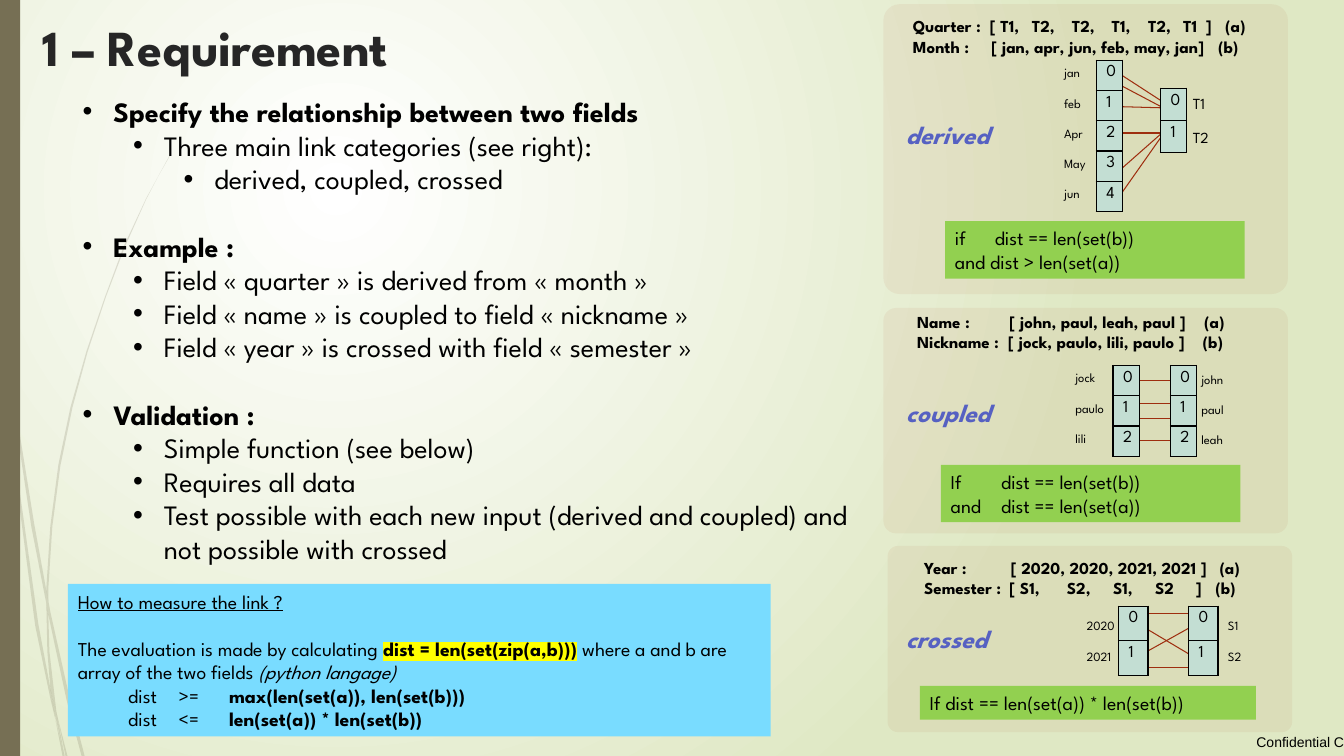
from dataclasses import dataclass
from lxml import etree
from pptx import Presentation
from pptx.dml.color import RGBColor
from pptx.enum.shapes import MSO_CONNECTOR, MSO_SHAPE
from pptx.enum.text import MSO_ANCHOR, PP_ALIGN
from pptx.oxml.ns import qn
from pptx.util import Pt

LEFT, RIGHT = PP_ALIGN.LEFT, PP_ALIGN.RIGHT
TOP, MIDDLE = MSO_ANCHOR.TOP, MSO_ANCHOR.MIDDLE
RECT, ROUNDED, STRAIGHT = MSO_SHAPE.RECTANGLE, MSO_SHAPE.ROUNDED_RECTANGLE, MSO_CONNECTOR.STRAIGHT
TITLE_ONLY = 5


@dataclass(frozen=True)
class Theme:
    font: str = "League Spartan"
    footer_font: str = "Arial"
    ink: str = "000000"
    title_ink: str = "262626"
    accent: str = "5661C2"
    bar: str = "766F54"
    panel: str = "A53010"
    arrow: str = "9E2E0F"
    cell: str = "C3DED3"
    rule: str = "92D050"
    measure: str = "79DCFF"
    marker: str = "FFFF00"
    glow: str = "FFFFFF"
    ground: str = "DFE8C4"
    title: float = 36
    body: float = 20
    kind: float = 18
    note: float = 14
    small: float = 12
    side: float = 11
    label: float = 9
    footer: float = 10


@dataclass
class Para:
    spans: list
    indent: float = 0
    bullet: bool = False
    gap: float = 0
    stops: tuple = ()


THEME = Theme()
HANG = 22


def rgb(code):
    return RGBColor.from_string(code)


def xml_child(parent, tag, **attributes):
    return etree.SubElement(parent, qn(tag), {key: str(value) for key, value in attributes.items()})


def write(frame, paras, size=THEME.body, font=THEME.font, color=THEME.ink,
          bold=False, italic=False, align=LEFT, anchor=TOP):
    """Each para is a string or a Para; each span is (text, format overrides)."""
    frame.word_wrap, frame.vertical_anchor = True, anchor
    for index, item in enumerate(paras):
        item = item if isinstance(item, Para) else Para([(item, {})])
        para = frame.paragraphs[0] if index == 0 else frame.add_paragraph()
        para.alignment, para.space_before = align, Pt(item.gap)
        props = para._p.get_or_add_pPr()
        if item.indent:
            props.set("marL", str(Pt(item.indent)))
        if item.bullet:
            props.set("indent", str(-Pt(HANG)))
            xml_child(props, "a:buFont", typeface="Arial")
            xml_child(props, "a:buChar", char="•")
        if item.stops:
            tabs = xml_child(props, "a:tabLst")
            for stop in item.stops:
                xml_child(tabs, "a:tab", pos=Pt(stop), algn="l")
        for text, style in item.spans:
            span = para.add_run()
            span.text = text
            span.font.size, span.font.name = Pt(size), font
            span.font.bold = style.get("bold", bold)
            span.font.italic = style.get("italic", italic)
            span.font.underline = style.get("underline", False)
            span.font.color.rgb = rgb(color)
            if "marker" in style:
                run_props = span.font._element
                highlight = xml_child(run_props, "a:highlight")
                xml_child(highlight, "a:srgbClr", val=style["marker"])
                run_props.find(qn("a:solidFill")).addnext(highlight)


def text_box(page, left, top, width, height, paras, **style):
    box = page.shapes.add_textbox(Pt(left), Pt(top), Pt(width), Pt(height))
    write(box.text_frame, paras, **style)
    return box


def paint(shape, color, opacity=100):
    shape.shadow.inherit = False
    shape.fill.solid()
    shape.fill.fore_color.rgb = rgb(color)
    shape.line.fill.background()
    if opacity < 100:
        xml_child(shape._element.spPr.find(".//" + qn("a:srgbClr")), "a:alpha", val=opacity * 1000)


def block(page, kind, left, top, width, height, color, opacity=100):
    shape = page.shapes.add_shape(kind, Pt(left), Pt(top), Pt(width), Pt(height))
    paint(shape, color, opacity)
    return shape


def arrow(page, x1, y1, x2, y2):
    line = page.shapes.add_connector(STRAIGHT, Pt(x1), Pt(y1), Pt(x2), Pt(y2))
    line.line.color.rgb, line.line.width = rgb(THEME.arrow), Pt(0.75)
    xml_child(line.line._get_or_add_ln(), "a:headEnd", type="stealth")
    xml_child(line._element.spPr, "a:effectLst")


def index_table(page, left, top, width, row_height, count):
    table = page.shapes.add_table(count, 1, Pt(left), Pt(top), Pt(width), Pt(row_height * count)).table
    table.first_row = table.horz_banding = False
    table.columns[0].width = Pt(width)
    for index in range(count):
        table.rows[index].height = Pt(row_height)
        cell = table.cell(index, 0)
        cell.margin_right = 0
        write(cell.text_frame, [str(index)], size=THEME.small)
        for side in ("a:lnL", "a:lnR", "a:lnT", "a:lnB"):
            edge = xml_child(cell._tc.get_or_add_tcPr(), side, w=Pt(1))
            xml_child(xml_child(edge, "a:solidFill"), "a:srgbClr", val=THEME.ink)
        cell.fill.solid()
        cell.fill.fore_color.rgb = rgb(THEME.cell)


def backdrop(page, width, height):
    # Radial background
    fill = page.background.fill
    fill.gradient()
    for stop, color, position in zip(fill.gradient_stops, (THEME.glow, THEME.ground), (0, 1)):
        stop.color.rgb, stop.position = rgb(color), position
    gradient = page.background._cSld.find(".//" + qn("a:gradFill"))
    gradient.remove(gradient.find(qn("a:lin")))
    xml_child(xml_child(gradient, "a:path", path="circle"), "a:fillToRect",
              l=50000, t=50000, r=100000, b=100000)
    # Grass stems, in steps of 0.72 pt
    stems = [
        [(8, 345), (9, 376), (31, 522), (46, 599), (46, 586), (34, 520), (20, 433)],
        [(48, 596), (48, 610), (66, 694), (81, 750), (84, 750), (69, 692), (50, 607)],
        [(57, 711), (65, 750), (67, 750)],
        [(6, 350), (15, 470), (35, 621), (50, 693), (55, 714), (54, 707), (50, 683), (38, 619),
         (17, 469), (9, 376)],
        [(46, 599), (47, 646), (50, 683), (52, 692), (57, 711), (56, 706), (49, 646), (48, 610), (47, 608)],
        [(48, 584), (52, 522), (60, 462), (72, 404), (87, 349), (105, 295), (124, 245), (145, 198),
         (157, 175), (169, 154), (169, 153), (157, 175), (145, 197), (123, 244), (104, 295), (86, 348),
         (70, 404), (58, 461), (50, 522), (46, 584), (46, 586), (48, 596)],
        [(55, 714), (62, 750), (64, 750)],
        [(47, 608), (48, 610), (48, 596), (46, 586), (46, 599)],
        [(50, 683), (54, 707), (64, 750), (57, 711), (52, 692)],
    ]
    for start, *rest in stems:
        builder = page.shapes.build_freeform(*start, scale=Pt(0.72))
        builder.add_line_segments(rest)
        paint(builder.convert_to_shape(), THEME.bar, 20)
    block(page, RECT, 0, 0, 14.4, height, THEME.bar)
    footer = text_box(page, width - 85, height - 19.5, 85, 19.5, ["Confidential C"], size=THEME.footer,
                      font=THEME.footer_font, align=RIGHT, anchor=MIDDLE).text_frame
    footer.margin_left = footer.margin_right = footer.margin_top = footer.margin_bottom = 0


def requirement_list(page, left, top, width, height):
    topics = [
        (0, "Specify the relationship between two fields"),
        (1, "Three main link categories (see right):"),
        (2, "derived, coupled, crossed"),
        (0, "Example :"),
        (1, "Field «\u00a0quarter\u00a0» is derived from «\u00a0month\u00a0»"),
        (1, "Field «\u00a0name\u00a0» is coupled to field «\u00a0nickname\u00a0»"),
        (1, "Field «\u00a0year\u00a0» is crossed with field «\u00a0semester\u00a0»"),
        (0, "Validation :"),
        (1, "Simple function (see below)"),
        (1, "Requires all data"),
        (1, "Test possible with each new input (derived and coupled) and not possible with crossed"),
    ]
    paras = [Para([(text, {"bold": level == 0})], HANG + 36 * level, True, 24 if level == 0 and index else 0)
             for index, (level, text) in enumerate(topics)]
    text_box(page, left, top, width, height, paras)


def measure_note(page, left, top, width, height):
    strong = {"bold": True}
    paras = [
        Para([("How to measure the link ?", {"underline": True})]),
        Para([("The evaluation is made by calculating ", {}),
              ("dist = len(set(zip(a,b)))", {"bold": True, "marker": THEME.marker}),
              (" where a and b are array of the two fields ", {}),
              ("(python langage)", {"italic": True})], gap=16.8),
        Para([("dist\t>=\t", {}), ("max(len(set(a)), len(set(b)))", strong)], indent=36),
        Para([("dist\t<=\t", {}), ("len(set(a)) * len(set(b))", strong)], indent=36),
    ]
    note = block(page, RECT, left, top, width, height, THEME.measure)
    write(note.text_frame, paras, size=THEME.note, anchor=MIDDLE)


def link_panel(page, box, kind, kind_top, header_at, header, arrows, tables, labels, rule_box, rule):
    left, top, width, height = box
    panel = block(page, ROUNDED, left, top, width, height, THEME.panel, 6)
    panel.adjustments[0] = 0.056
    # Field values and link name
    text_box(page, left + header_at[0], top + header_at[1], 270, 36,
             [Para([(text, {})], stops=stops) for text, stops in header], size=THEME.small, bold=True)
    text_box(page, 640, top + kind_top, 92, 29, [kind], size=THEME.kind, color=THEME.accent,
             bold=True, italic=True)
    # Links between the two index columns
    for x1, y1, x2, y2 in arrows:
        arrow(page, left + x1, top + y1, left + x2, top + y2)
    for x, y, *grid in tables:
        index_table(page, left + x, top + y, *grid)
    for x, y, size, words in labels:
        paras = [Para([(word, {})], gap=10.8 if index else 0) for index, word in enumerate(words.split())]
        text_box(page, left + x, top + y, 48, 21.6 * len(paras), paras, size=size)
    # Test on dist
    x, y, rule_width, rule_height = rule_box
    strip = block(page, RECT, left + x, top + y, rule_width, rule_height, THEME.rule)
    write(strip.text_frame, [Para([(text, {})], stops=stops) for text, stops in rule],
          size=THEME.note, anchor=MIDDLE)


def requirement_page(deck):
    page = deck.slides.add_slide(deck.slide_layouts[TITLE_ONLY])
    backdrop(page, 960, 540)
    title = page.shapes.title
    title.left, title.top, title.width, title.height = Pt(23), Pt(3), Pt(802), Pt(60.5)
    write(title.text_frame, ["1 – Requirement"], size=THEME.title, color=THEME.title_ink, bold=True, anchor=MIDDLE)
    requirement_list(page, 52, 64, 561, 346)
    measure_note(page, 48.5, 417, 502, 109)
    link_panel(
        page, (631, 3, 289, 207), "derived", 79, (14, 5),
        [("Quarter :\t[ T1,\tT2,\tT2,\tT1,\tT2,\tT1\t]\t(a)", (55, 85, 113.5, 142, 168, 193, 209, 223)),
         ("Month :\t[ jan, apr, jun, feb, may, jan]\t(b)", (56, 218))],
        [(163, 46, 200, 70), (162, 54, 198, 73), (163, 73, 198, 74),
         (161, 92, 199, 92), (165, 122, 199, 92), (161, 148, 199, 94)],
        [(198, 60, 18.7, 23, 2), (152, 40, 18.7, 21.6, 5)],
        [(122, 40, THEME.label, "jan feb Apr May jun"), (214, 61, THEME.side, "T1 T2")],
        (44, 155, 214, 41), [("if\tdist == len(set(b))", (28.5,)), ("and dist > len(set(a))", ())])
    link_panel(
        page, (631, 220, 289, 161), "coupled", 60, (17, -1),
        [("Name :\t[ john, paul, leah, paul ]\t(a)", (66, 205)),
         ("Nickname :\t[ jock, paulo, lili, paulo ]\t(b)", (65, 204))],
        [(173, y, 211, y) for y in (52, 68, 79, 95)],
        [(x, 41, 18.7, 21.6, 3) for x in (164, 205)],
        [(130, 41, THEME.label, "jock paulo lili"), (220, 42, THEME.label, "john paul leah")],
        (41, 112, 214, 41), [("If\tdist == len(set(b))", (36,)), ("and\tdist == len(set(a))", (36,))])
    link_panel(
        page, (634, 390, 289, 133), "crossed", 52, (19, 5),
        [("Year :\t[ 2020, 2020, 2021, 2021 ]\t(a)", (62, 211)),
         ("Semester :\t[ S1,\tS2,\tS1,\tS2\t]\t(b)", (61, 102, 135, 165, 194, 208))],
        [(177, 80, 220, 56), (178, 55, 220, 80), (179, 87, 216, 87), (177, 48, 215, 48)],
        [(x, 43, 21, 24.8, 2) for x in (165, 215)],
        [(135, 48, THEME.label, "2020 2021"), (236, 48, THEME.label, "S1 S2")],
        (23, 100, 240, 24), [("If dist == len(set(a)) * len(set(b))", ())])


deck = Presentation()
deck.slide_width, deck.slide_height = Pt(960), Pt(540)
requirement_page(deck)
deck.save("out.pptx")
